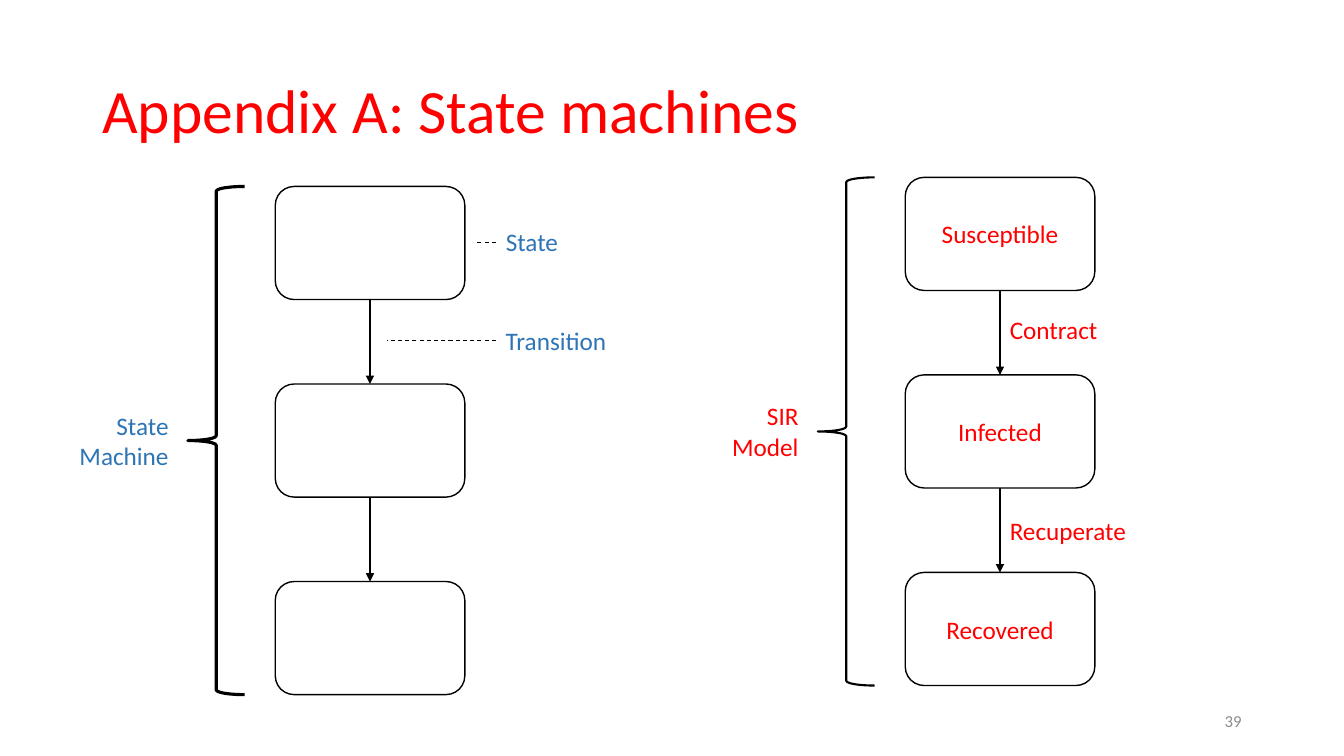
from lxml.etree import SubElement
from pptx import Presentation
from pptx.dml.color import RGBColor
from pptx.enum.dml import MSO_LINE_DASH_STYLE as Dash
from pptx.enum.shapes import MSO_CONNECTOR as Connector, MSO_SHAPE as Shape
from pptx.enum.text import MSO_ANCHOR as Anchor, PP_ALIGN as Align
from pptx.oxml.ns import qn
from pptx.util import Pt

RED = RGBColor(0xFF, 0x00, 0x00)
BLUE = RGBColor(0x2E, 0x75, 0xB6)
GRAY = RGBColor(0x8C, 0x8C, 0x8C)
BLACK = RGBColor(0x00, 0x00, 0x00)
WHITE = RGBColor(0xFF, 0xFF, 0xFF)

STATE_WIDTH, STATE_HEIGHT, STATE_STEP = 135.4, 80.8, 141.1
MACHINE_HEIGHT = 2 * STATE_STEP + STATE_HEIGHT

deck = Presentation()
deck.slide_width, deck.slide_height = Pt(960), Pt(540)
page = deck.slides.add_slide(deck.slide_layouts[6])


def write(box, text, color, size=18, align=Align.LEFT, anchor=Anchor.TOP, spacing=1.0):
    frame = box.text_frame
    frame.word_wrap = True
    frame.vertical_anchor = anchor
    para = frame.paragraphs[0]
    para.alignment, para.line_spacing = align, spacing
    span = para.add_run()
    span.text = text
    for name, value in {"name": "Calibri", "size": Pt(size)}.items():
        setattr(span.font, name, value)
    span.font.color.rgb = color


def connect(x1, y1, x2, y2, width, dash=None, arrow=False):
    link = page.shapes.add_connector(Connector.STRAIGHT, Pt(x1), Pt(y1), Pt(x2), Pt(y2))
    link.line.color.rgb = BLACK
    for name, value in {"width": Pt(width), "dash_style": dash}.items():
        setattr(link.line, name, value)
    if arrow:
        SubElement(link.line._get_or_add_ln(), qn("a:tailEnd"), type="triangle")
    SubElement(link._element.spPr, qn("a:effectLst"))


machines = [
    (196.6, 133.2, "State Machine", BLUE, 2.25, ["", "", ""]),
    (646.6, 126.7, "SIR Model", RED, 1.5, ["Susceptible", "Infected", "Recovered"]),
]
for left, top, title, color, brace_width, states in machines:
    brace = page.shapes.add_shape(
        Shape.LEFT_BRACE, Pt(left - 62.4), Pt(top), Pt(40.6), Pt(MACHINE_HEIGHT))
    brace.shadow.inherit = False
    brace.fill.background()
    brace.line.color.rgb = BLACK
    brace.line.width = Pt(brace_width)

    label = page.shapes.add_textbox(Pt(left - 148.3), Pt(top + 156), Pt(79.2), Pt(51))
    write(label, title, color, align=Align.RIGHT)

    center = left + STATE_WIDTH / 2
    for index, name in enumerate(states):
        state_top = top + index * STATE_STEP
        state = page.shapes.add_shape(
            Shape.FLOWCHART_ALTERNATE_PROCESS,
            Pt(left), Pt(state_top), Pt(STATE_WIDTH), Pt(STATE_HEIGHT))
        state.shadow.inherit = False
        state.fill.solid()
        state.fill.fore_color.rgb = WHITE
        state.line.color.rgb = BLACK
        state.line.width = Pt(1)
        if name:
            write(state, name, color, align=Align.CENTER, anchor=Anchor.MIDDLE)
        if index:
            connect(center, state_top - STATE_STEP + STATE_HEIGHT,
                    center, state_top, 1.5, arrow=True)

labels = [
    ("State", 354.2, 158.4, 63.4, BLUE),
    ("Transition", 354.2, 229, 89.3, BLUE),
    ("Contract", 714.2, 221, 118.8, RED),
    ("Recuperate", 714.2, 364.6, 118.8, RED),
]
for text, left, top, width, color in labels:
    label = page.shapes.add_textbox(Pt(left), Pt(top), Pt(width), Pt(29))
    write(label, text, color)

for end, y in [(340, 173.2), (276.5, 243.4)]:
    connect(354.2, y, end, y, 0.75, dash=Dash.DASH)

heading = page.shapes.add_textbox(Pt(66), Pt(28.75), Pt(828), Pt(104.4))
write(heading, "Appendix A: State machines", RED, size=44, anchor=Anchor.MIDDLE, spacing=0.9)

number = page.shapes.add_textbox(Pt(678), Pt(500.5), Pt(216), Pt(28.75))
write(number, "39", GRAY, size=12, align=Align.RIGHT, anchor=Anchor.MIDDLE)

deck.save("out.pptx")
